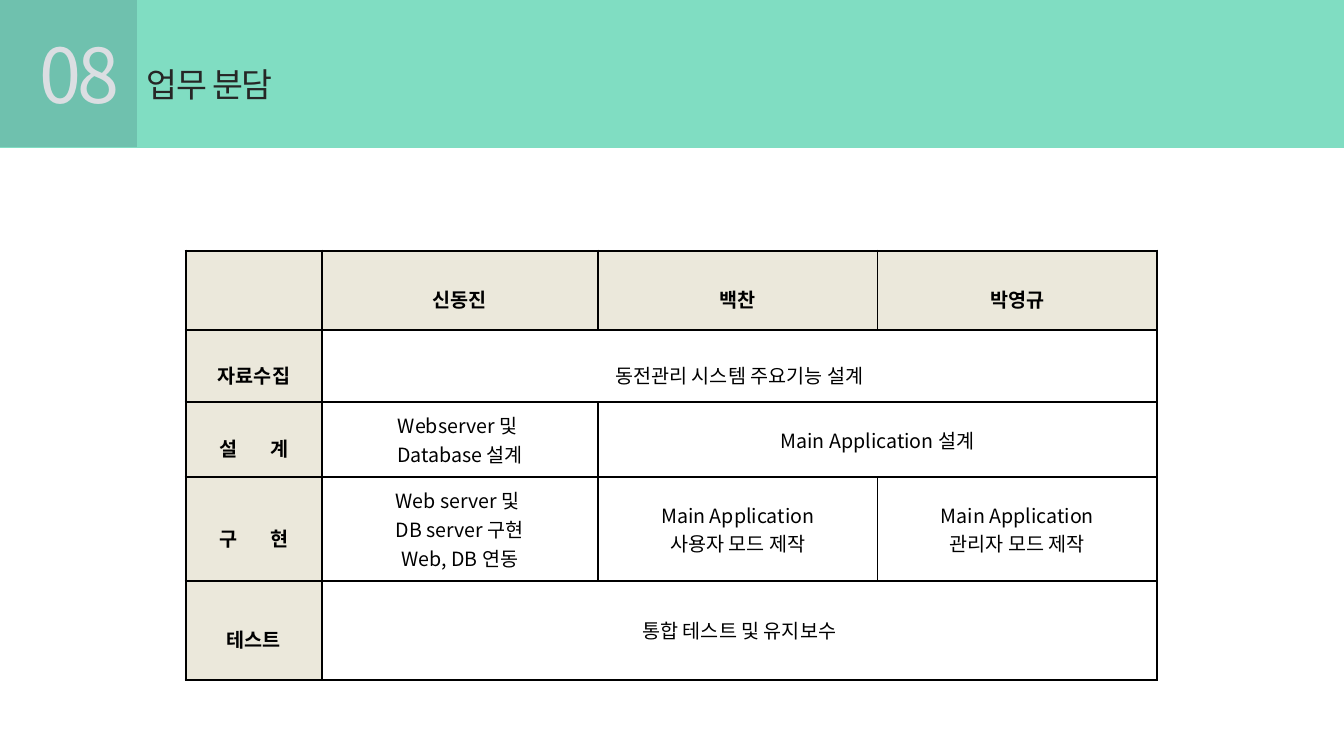
from lxml import etree
from pptx import Presentation
from pptx.dml.color import RGBColor
from pptx.enum.shapes import MSO_SHAPE
from pptx.enum.text import MSO_ANCHOR, PP_ALIGN
from pptx.oxml.ns import qn
from pptx.util import Pt

RECT = MSO_SHAPE.RECTANGLE
LEFT, CENTER = PP_ALIGN.LEFT, PP_ALIGN.CENTER
MIDDLE = MSO_ANCHOR.MIDDLE
SCALE = 914400 / 100.8
FONT = "Noto Sans CJK KR"
COLORS = {"band": "80DDC2", "navy": "0F243E", "white": "FFFFFF",
          "title": "262626", "black": "000000", "label": "DDD9C3"}
COLS = [136, 276, 280, 279]
ROWS = [79, 72, 75, 104, 99]
THIN, THICK = 1, 2.25
CELLS = [
    (0, 0, 1, ""),
    (0, 1, 1, "신동진"),
    (0, 2, 1, "백찬"),
    (0, 3, 1, "박영규"),
    (1, 0, 1, "자료수집"),
    (1, 1, 3, "동전관리 시스템 주요기능 설계"),
    (2, 0, 1, "설 계"),
    (2, 1, 1, "Webserver 및 \nDatabase 설계"),
    (2, 2, 2, "Main Application 설계"),
    (3, 0, 1, "구 현"),
    (3, 1, 1, "Web server 및 \nDB server 구현\nWeb, DB 연동"),
    (3, 2, 1, "Main Application\n사용자 모드 제작"),
    (3, 3, 1, "Main Application\n관리자 모드 제작"),
    (4, 0, 1, "테스트"),
    (4, 1, 3, "통합 테스트 및 유지보수"),
]


def px(*sizes):
    return [round(size * SCALE) for size in sizes]


def color(name):
    return RGBColor.from_string(COLORS[name])


def paint(fill, node, name, alpha=100):
    fill.solid()
    fill.fore_color.rgb = color(name)
    if alpha < 100:
        tint = node.find(qn("a:solidFill")).find(qn("a:srgbClr"))
        etree.SubElement(tint, qn("a:alpha"), val=str(alpha * 1000))


def style(run, size, name, bold=False, gap=0):
    run.font.size = Pt(size)
    run.font.bold = bold
    run.font.color.rgb = color(name)
    run.font.name = FONT
    props = run.font._element
    etree.SubElement(props, qn("a:ea"), typeface=FONT)
    if gap:
        props.set("spc", str(gap * 100))


def block(slide, box, name, alpha=100):
    shape = slide.shapes.add_shape(RECT, *px(*box))
    shape.shadow.inherit = False
    shape.line.fill.background()
    paint(shape.fill, shape._element.spPr, name, alpha)


def label(slide, box, text, size, name, gap, align):
    frame = slide.shapes.add_textbox(*px(*box)).text_frame
    frame.word_wrap = True
    frame.text = text
    para = frame.paragraphs[0]
    para.alignment = align
    style(para.runs[0], size, name, gap=gap)


def header(slide, box):
    left, top, width, height = box
    block(slide, box, "band")
    label(slide, (left + 22, top + 23, 115, 102), "08", 54, "white", -3, CENTER)
    label(slide, (left + 137, top + 59, 857, 50), "업무 분담", 24, "title", -1, LEFT)
    block(slide, (left, top, 137, height - 1), "navy", 15)


def border(cell, row, col, span):
    props = cell._tc.get_or_add_tcPr()
    outer = {"L": col == 0, "R": col + span == len(COLS),
             "T": row == 0, "B": row == len(ROWS) - 1}
    for side, edge in outer.items():
        width = Pt(THICK if edge else THIN)
        line = etree.SubElement(props, qn(f"a:ln{side}"), w=str(width))
        fill = etree.SubElement(line, qn("a:solidFill"))
        etree.SubElement(fill, qn("a:srgbClr"), val=COLORS["black"])


def write(cell, text, bold, tall):
    cell.vertical_anchor = MIDDLE
    cell.text = text
    for para in cell.text_frame.paragraphs:
        para.alignment = CENTER
        if tall:
            para.line_spacing = 1.6
        if bold and " " in text:
            first, last = text.split()
            para.runs[0].text = first + " "
            para.add_run().text = last
        for run in para.runs:
            style(run, 14, "black", bold, 10 if run.text.endswith(" ") and bold else 0)


def duties(slide, box):
    table = slide.shapes.add_table(len(ROWS), len(COLS), *px(*box)).table
    table.first_row = table.horz_banding = False
    for col, width in zip(table.columns, px(*COLS)):
        col.width = width
    for row, height in zip(table.rows, px(*ROWS)):
        row.height = height
    for row, col, span, text in CELLS:
        cell = table.cell(row, col)
        if span > 1:
            cell.merge(table.cell(row, col + span - 1))
        for step in range(span):
            part = table.cell(row, col + step)
            border(part, row, col, span)
            part.fill.background()
        head = row == 0 or col == 0
        if head:
            paint(cell.fill, cell._tc.tcPr, "label", 59)
        write(cell, text, head, head or row == 1)


def main():
    deck = Presentation()
    deck.slide_width, deck.slide_height = px(1344, 756)
    slide = deck.slides.add_slide(deck.slide_layouts[6])
    header(slide, (0, 0, 1344, 148))
    duties(slide, (186, 251, sum(COLS), sum(ROWS)))
    deck.save("out.pptx")


if __name__ == "__main__":
    main()
